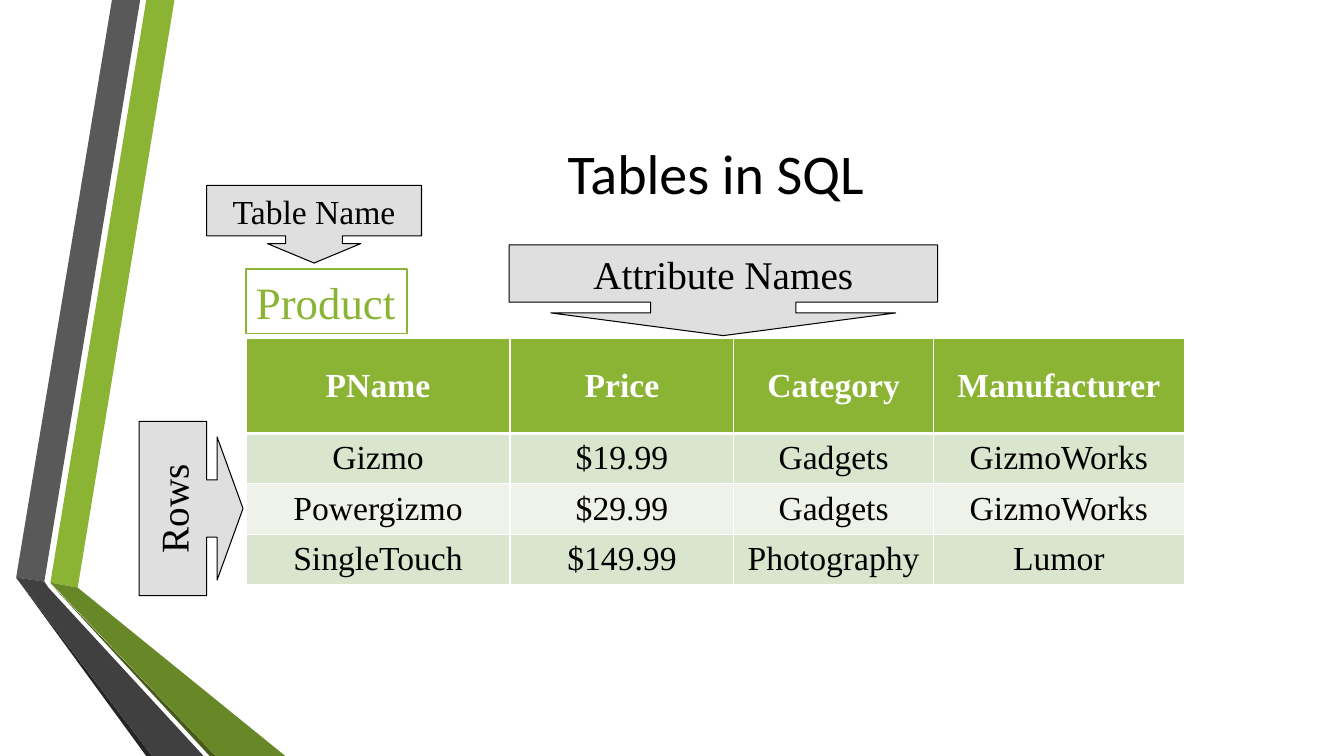
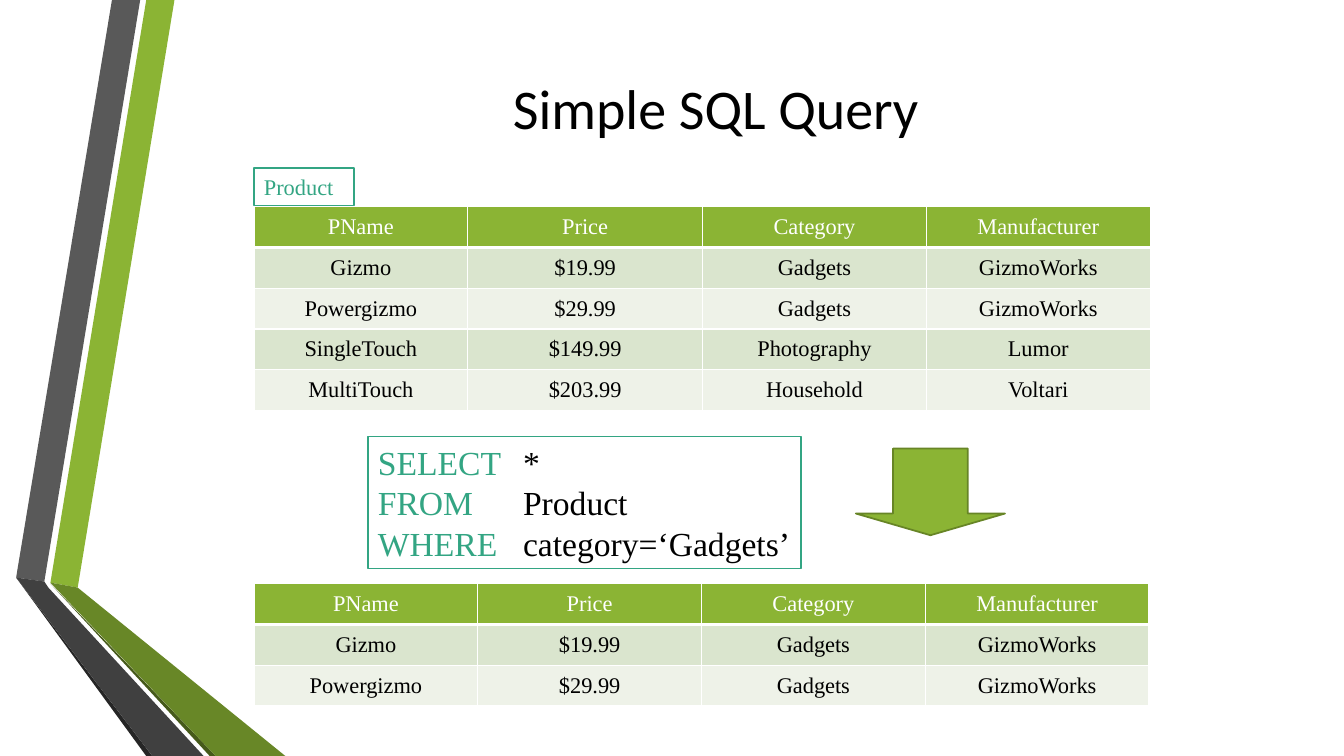
from lxml.etree import SubElement as Sub
from pptx import Presentation
from pptx.dml.color import RGBColor
from pptx.enum.shapes import MSO_SHAPE as SHAPE
from pptx.enum.text import MSO_ANCHOR as ANCHOR, PP_ALIGN as ALIGN
from pptx.oxml.ns import qn
from pptx.util import Inches, Pt

WIDTH, HEIGHT = Inches(13.33), Inches(7.5)
SERIF, SANS = "Times New Roman", "Calibri"
GREEN, TEAL, WHITE, BLACK = "8BB434", "33A583", "FFFFFF", "000000"
SILVER, DARK_GREEN = "C0C0C0", "678526"
ROW_FILLS = ("DAE5CE", "EEF2E8")

BANDS = [
    (GREEN, [(3.75, 77.07), (5.78, 77.73), (12.98, 0), (10.88, 0)]),
    ("595959", [(10.43, 0), (8.33, 0), (1.2, 76.4), (3.3, 76.93)]),
    ("262626", [(1.2, 76.4), (10.88, 100), (11.33, 100)]),
    ("465A1A", [(3.75, 77.2), (15.6, 100), (16.05, 100)]),
    ("688727", [(3.75, 77.07), (16.05, 100), (21.23, 100), (5.78, 77.73)]),
    ("404040", [(15.15, 100), (3.6, 77.73), (3.3, 76.93), (1.2, 76.4), (11.33, 100)]),
]

HEADER = ("PName", "Price", "Category", "Manufacturer")
GADGETS = [
    ("Gizmo", "$19.99", "Gadgets", "GizmoWorks"),
    ("Powergizmo", "$29.99", "Gadgets", "GizmoWorks"),
]
CAMERA = ("SingleTouch", "$149.99", "Photography", "Lumor")
HOUSEHOLD = ("MultiTouch", "$203.99", "Household", "Voltari")
QUERY = [("SELECT", "*"), ("FROM", "Product"), ("WHERE", "category=‘Gadgets’")]


def rgb(color):
    """Turn a hex string into a colour."""
    return RGBColor.from_string(color)


def across(share):
    """Turn a percentage of the slide width into a length."""
    return round(WIDTH * share / 100)


def down(share):
    """Turn a percentage of the slide height into a length."""
    return round(HEIGHT * share / 100)


def box(left, top, width, height):
    """Turn four percentages into a position and size."""
    return across(left), down(top), across(width), down(height)


def add_run(p, text, size, color, font=SERIF, bold=False):
    """Append one formatted run to a paragraph."""
    r = p.add_run()
    r.text = text
    r.font.name, r.font.size, r.font.bold = font, Pt(size), bold
    r.font.color.rgb = rgb(color)


def add_bands(s, layout):
    """Draw the folded ribbons and put them behind the layout's placeholders."""
    for index, (color, points) in enumerate(BANDS):
        start, *rest = [(across(x), down(y)) for x, y in points]
        outline = s.shapes.build_freeform(*start)
        outline.add_line_segments(rest, close=True)
        sp = outline.convert_to_shape()
        sp.shadow.inherit = False
        sp.fill.solid()
        sp.fill.fore_color.rgb = rgb(color)
        sp.line.fill.background()
        layout.shapes.element.insert(2 + index, sp.element)


def set_title(s, text, top, height):
    """Place and format the title placeholder."""
    sp = s.shapes.title
    sp.left, sp.top, sp.width, sp.height = box(12.15, top, 82.2, height)
    sp.text_frame.vertical_anchor = ANCHOR.MIDDLE
    p = sp.text_frame.paragraphs[0]
    p.alignment = ALIGN.CENTER
    add_run(p, text, 40, BLACK, SANS)


def add_figure(s, kind, place, fill, line, weight=1.25, adjustments=()):
    """Add a filled and outlined preset shape."""
    sp = s.shapes.add_shape(kind, *box(*place))
    sp.shadow.inherit = False
    sp.fill.solid()
    sp.fill.fore_color.rgb = rgb(fill)
    sp.line.color.rgb = rgb(line)
    sp.line.width = Pt(weight)
    for index, value in enumerate(adjustments):
        sp.adjustments[index] = value
    sp.text_frame.word_wrap = True
    return sp


def add_callout(s, kind, place, text, size, adjustments):
    """Add a half-transparent arrow callout with centred text."""
    sp = add_figure(s, kind, place, SILVER, BLACK, 0.75, adjustments)
    color = sp.element.spPr.find(f"{qn('a:solidFill')}/{qn('a:srgbClr')}")
    Sub(color, qn("a:alpha"), val="50000")
    p = sp.text_frame.paragraphs[0]
    p.alignment = ALIGN.CENTER
    add_run(p, text, size, BLACK)
    return sp


def add_label(s, place, text, size, color):
    """Add a white box that names a table."""
    p = add_figure(s, SHAPE.RECTANGLE, place, WHITE, color).text_frame.paragraphs[0]
    p.alignment = ALIGN.LEFT
    add_run(p, text, size, color)


def add_query(s, place, clauses):
    """Add a query with its keywords and operands in two tabbed columns."""
    tf = add_figure(s, SHAPE.RECTANGLE, place, WHITE, TEAL).text_frame
    tf.margin_right = 0
    for index, (keyword, operand) in enumerate(clauses):
        p = tf.add_paragraph() if index else tf.paragraphs[0]
        p.alignment = ALIGN.LEFT
        tabs = Sub(p._p.get_or_add_pPr(), qn("a:tabLst"))
        Sub(tabs, qn("a:tab"), pos=str(across(10.8)), algn="l")
        add_run(p, keyword + "\t", 24, TEAL)
        add_run(p, operand, 24, BLACK)


def set_borders(cell, top, bottom):
    """Give a cell white borders, with its own top and bottom weights."""
    tc_pr = cell._tc.get_or_add_tcPr()
    for side, weight in (("L", 1), ("R", 1), ("T", top), ("B", bottom)):
        ln = Sub(tc_pr, qn(f"a:ln{side}"), w=str(Pt(weight)))
        Sub(Sub(ln, qn("a:solidFill")), qn("a:srgbClr"), val=WHITE)


def add_grid(s, left, top, widths, heights, rows, size, bold=False):
    """Add a table with a green header and banded rows."""
    place = box(left, top, sum(widths), sum(heights))
    table = s.shapes.add_table(len(rows), len(widths), *place).table
    for column, width in zip(table.columns, widths):
        column.width = across(width)
    for i, (row, height, values) in enumerate(zip(table.rows, heights, rows)):
        row.height = down(height)
        for cell, value in zip(row.cells, values):
            set_borders(cell, 3 if i == 1 else 1, 1 if i else 3)
            cell.fill.solid()
            cell.fill.fore_color.rgb = rgb(ROW_FILLS[(i - 1) % 2] if i else GREEN)
            cell.vertical_anchor = ANCHOR.MIDDLE
            p = cell.text_frame.paragraphs[0]
            p.alignment = ALIGN.CENTER
            add_run(p, value, size, BLACK if i else WHITE, bold=bold and i == 0)


def build_tables_slide(s):
    """Name the parts of a table."""
    set_title(s, "Tables in SQL", 10, 25.6)
    add_label(s, (18.3, 35.6, 12, 8.53), "Product", 32, GREEN)
    add_callout(s, SHAPE.DOWN_ARROW_CALLOUT, (15.38, 24.53, 15.98, 10.27),
                "Table Name", 24, (0.73, 0.6, 0.25, 0.65))
    add_grid(s, 18.3, 44.8, (19.65, 16.65, 14.85, 18.68), [12.53] + [6.67] * 3,
             [HEADER, *GADGETS, CAMERA], 24, bold=True)
    sp = add_callout(s, SHAPE.LEFT_ARROW_CALLOUT, (10.35, 55.73, 7.73, 23.07),
                     "Rows", 28, (0.55, 0.69, 0.25, 0.65))
    sp.rotation = 180
    sp.text_frame._txBody.bodyPr.set("vert", "vert")
    add_callout(s, SHAPE.DOWN_ARROW_CALLOUT, (37.88, 32.4, 31.88, 12),
                "Attribute Names", 28, (1.6, 1.9, 0.25, 0.63))


def build_query_slide(s):
    """Show a table, a query on it and the result."""
    set_title(s, "Simple SQL Query", 6.4, 15.6)
    add_query(s, (27.38, 57.73, 32.25, 17.47), QUERY)
    add_label(s, (18.9, 22.27, 7.43, 4.93), "Product", 16, TEAL)
    add_figure(s, SHAPE.DOWN_ARROW, (63.68, 59.33, 11.1, 11.47), GREEN, DARK_GREEN,
               adjustments=(0.5, 0.25))
    add_grid(s, 18.9, 27.33, (15.9, 17.48, 16.65, 16.65), [5.4] * 5,
             [HEADER, *GADGETS, CAMERA, HOUSEHOLD], 16)
    add_grid(s, 18.9, 77.2, [16.65] * 4, [5.4] * 3, [HEADER, *GADGETS], 16)


def main():
    """Build and save the presentation."""
    prs = Presentation()
    prs.slide_width, prs.slide_height = WIDTH, HEIGHT
    layout = prs.slide_layouts.get_by_name("Title Only")
    first, second = [prs.slides.add_slide(layout) for _ in range(2)]
    add_bands(first, layout)
    build_tables_slide(first)
    build_query_slide(second)
    prs.save("out.pptx")


if __name__ == "__main__":
    main()
